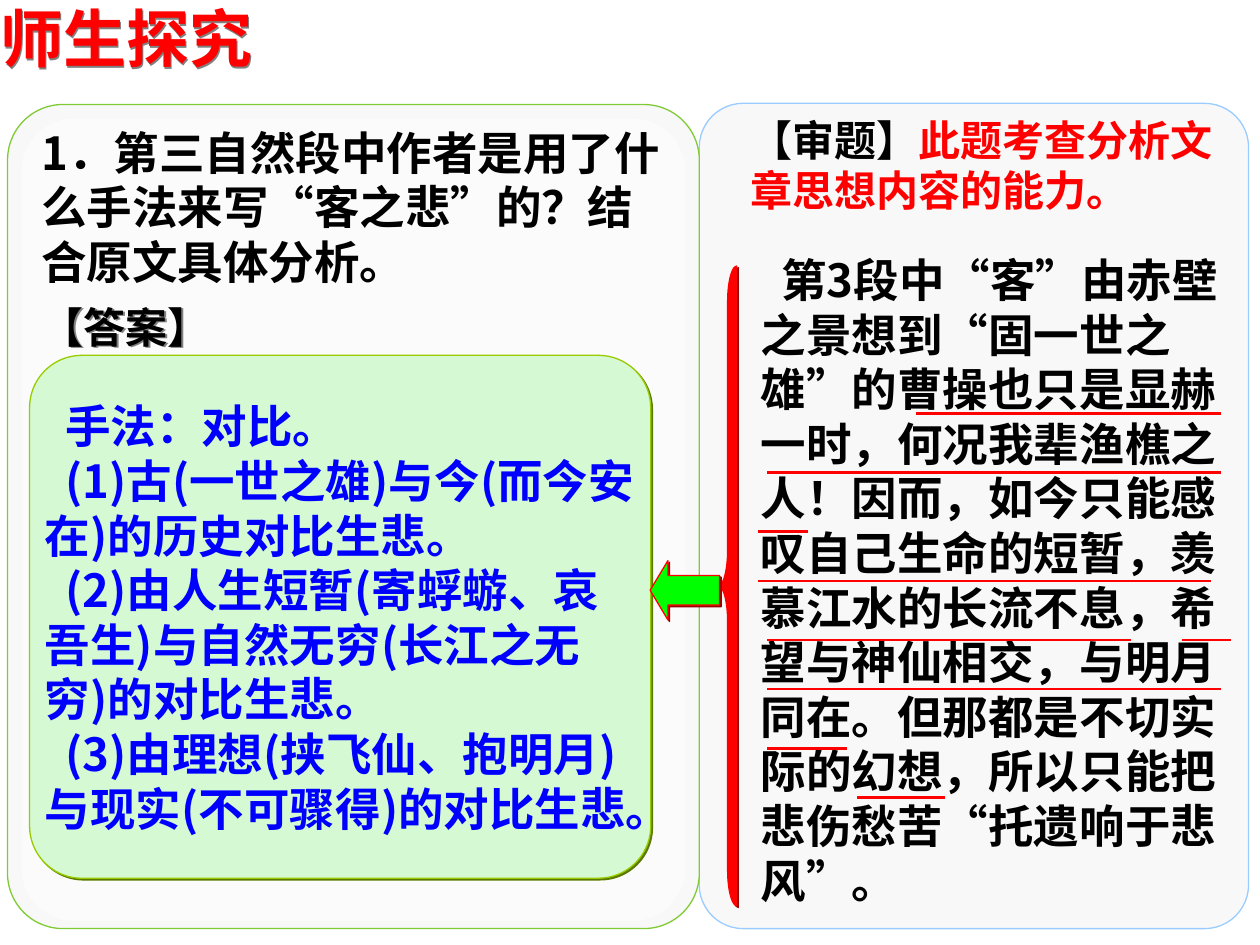
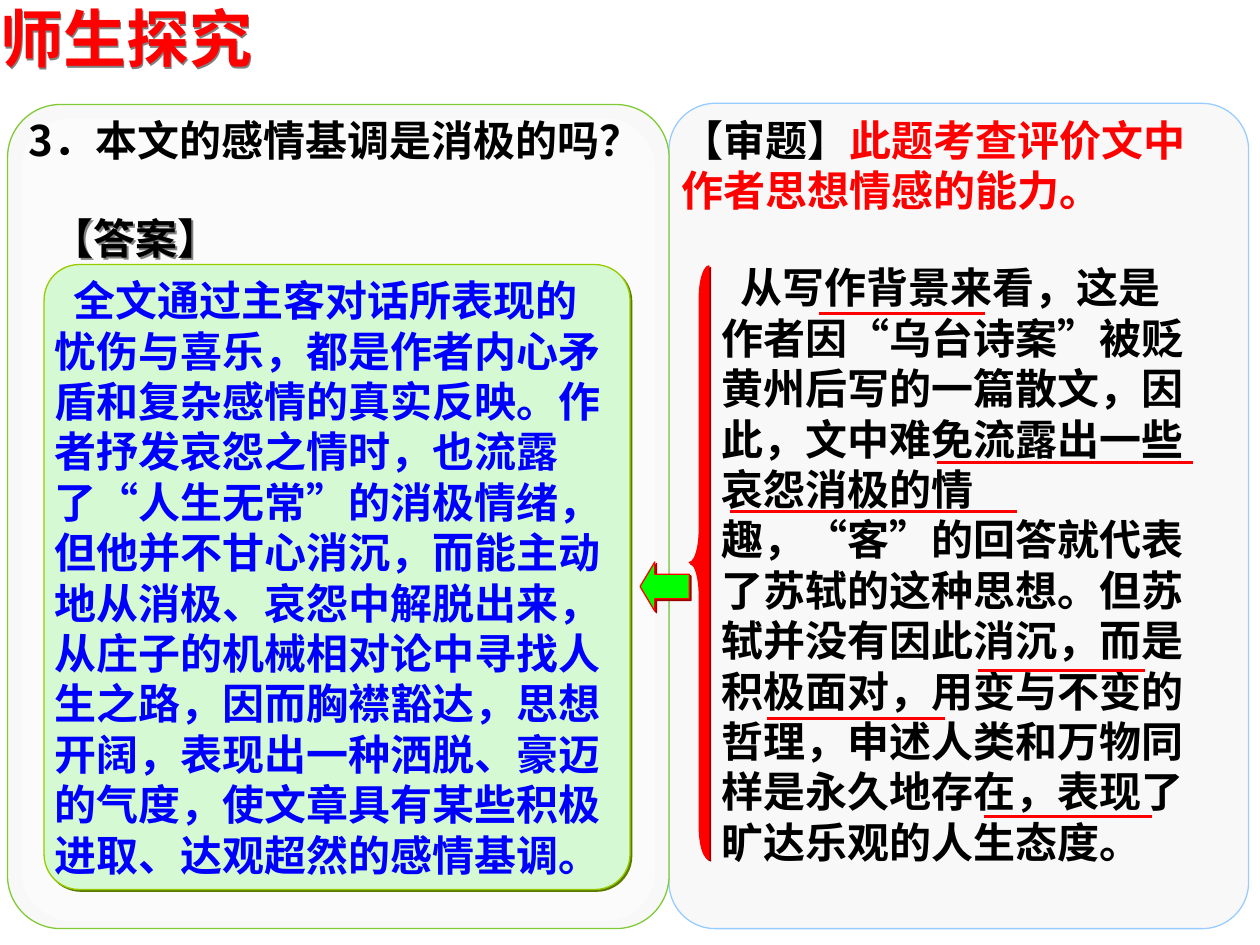
import lxml.etree
import pptx
import pptx.dml.color
import pptx.enum.lang
import pptx.enum.shapes
import pptx.enum.text
import pptx.oxml.ns
import pptx.util

SHAPES = pptx.enum.shapes.MSO_SHAPE
COLUMNS, ROWS = 100, 75
CELL = pptx.util.Inches(0.1)
LATIN, HAN = "Arial", "Noto Sans CJK SC"
COLORS = {
    "ink": "000000", "red": "FF0000", "blue": "0000FF", "white": "FFFFFF",
    "panel": "F8F8F8", "question edge": "80CB35", "review edge": "99CCFF",
    "answer": "D5F9D3", "answer edge": "99CC00", "answer shade": "5C7A00",
    "arrow": "00FF00", "red shade": "990000", "text shade": "808080",
}


def cells(count):
    return round(count * CELL)


def color(name):
    return pptx.dml.color.RGBColor.from_string(COLORS[name])


def add_element(parent, tag, **attributes):
    element = lxml.etree.SubElement(parent, pptx.oxml.ns.qn(tag))
    for name, value in attributes.items():
        element.set(name, str(value))
    return element


def add_run(paragraph, text, size, ink, font):
    run = paragraph.add_run()
    run.text = text
    run.font.size = pptx.util.Pt(size)
    run.font.bold = True
    run.font.name = font
    run.font.language_id = pptx.enum.lang.MSO_LANGUAGE_ID.SIMPLIFIED_CHINESE
    run.font.color.rgb = color(ink)
    add_element(run._r.get_or_add_rPr(), "a:ea", typeface=HAN)


def write_text(frame, paragraphs, size=24, ink="ink", font=HAN, indent=False,
               margins=(0, 0), right_margin=None,
               anchor=pptx.enum.text.MSO_ANCHOR.TOP):
    """Fill a frame; a paragraph is a string or a list of (string, colour) runs."""
    frame.word_wrap = True
    frame.vertical_anchor = anchor
    frame.margin_left = cells(margins[0])
    frame.margin_right = cells(margins[0] if right_margin is None else right_margin)
    frame.margin_top = frame.margin_bottom = cells(margins[1])
    for number, content in enumerate(paragraphs):
        paragraph = frame.add_paragraph() if number else frame.paragraphs[0]
        paragraph.alignment = pptx.enum.text.PP_ALIGN.LEFT
        paragraph.line_spacing = pptx.util.Pt(size * 1.2)
        if indent:
            first_line = pptx.util.Pt(size * 0.45)
            paragraph._p.get_or_add_pPr().set("indent", str(int(first_line)))
        pieces = [(content, ink)] if isinstance(content, str) else content
        for text, run_color in pieces:
            for line_number, line in enumerate(text.split("\n")):
                if line_number:
                    paragraph.add_line_break()
                add_run(paragraph, line, size, run_color, font)


class LessonDeck:
    """Holds the presentation, its style and the slide being drawn."""

    def __init__(self):
        self.presentation = pptx.Presentation()
        self.presentation.slide_width = cells(COLUMNS)
        self.presentation.slide_height = cells(ROWS)
        self.slide = None

    def start_slide(self, split):
        """Add a slide whose two panels meet at column split."""
        self.slide = self.presentation.slides.add_slide(
            self.presentation.slide_layouts[6])
        self.shape((split, 8.2, 99.1 - split, 65.5), "panel", "review edge",
                   adjustments=[0.08])
        width = split - 0.6
        self.shape((0.6, 8.3, width, 65.4), "panel", "question edge",
                   adjustments=[0.08])
        self.shape((1.7, 9.4, width - 2.2, 63.7), "white", adjustments=[0.08],
                   opacity=50)
        self.text((0, 0, 33.5, 6), ["师生探究"], shaded=True, size=36, ink="red",
                  font=LATIN, margins=(0, 0))

    def shade(self, shape, name):
        """Give a shape a hard shadow to its lower right, or none."""
        shape.shadow.inherit = False
        if name:
            effects = shape._element.spPr.find(pptx.oxml.ns.qn("a:effectLst"))
            shadow = add_element(effects, "a:outerShdw", blurRad=0,
                                 dist=int(pptx.util.Pt(1.4)), dir=45 * 60000,
                                 algn="tl", rotWithShape=0)
            add_element(shadow, "a:srgbClr", val=COLORS[name])

    def shape(self, area, fill, edge=None, kind=SHAPES.ROUNDED_RECTANGLE,
              adjustments=(), shadow=None, opacity=100):
        shape = self.slide.shapes.add_shape(kind, *map(cells, area))
        for number, value in enumerate(adjustments):
            shape.adjustments[number] = value
        shape.fill.solid()
        shape.fill.fore_color.rgb = color(fill)
        if opacity < 100:
            tint = next(shape._element.spPr.iter(pptx.oxml.ns.qn("a:srgbClr")))
            add_element(tint, "a:alpha", val=opacity * 1000)
        if edge:
            shape.line.color.rgb = color(edge)
            shape.line.width = pptx.util.Pt(0.75)
        else:
            shape.line.fill.background()
        self.shade(shape, shadow)
        return shape

    def text(self, area, paragraphs, shaded=False, margins=(1, 0.5), **style):
        box = self.slide.shapes.add_textbox(*map(cells, area))
        if shaded:
            self.shade(box, "text shade")
        write_text(box.text_frame, paragraphs, margins=margins, **style)

    def answer_label(self, left, top):
        self.text((left, top, 16.5, 5), ["【答案】"], shaded=True, font=LATIN)

    def answer(self, area, paragraphs, corner, **style):
        box = self.shape(area, "answer", "answer edge", adjustments=[corner],
                         shadow="answer shade")
        write_text(box.text_frame, paragraphs, ink="blue", indent=True,
                   anchor=pptx.enum.text.MSO_ANCHOR.MIDDLE, **style)

    def review(self, area, purpose):
        self.text(area, [[("【审题】", "ink"), (purpose, "red")]])

    def underlines(self, spans):
        """Draw a red rule for each (row, first column, last column)."""
        for row, start, end in spans:
            line = self.slide.shapes.add_connector(
                pptx.enum.shapes.MSO_CONNECTOR.STRAIGHT,
                cells(start), cells(row), cells(end), cells(row))
            line.line.color.rgb = color("red")
            line.line.width = pptx.util.Pt(1.5)
            add_element(line._element.spPr, "a:effectLst")

    def brace_and_arrow(self, brace, curl, arrow):
        self.shape(brace, "red", "red", SHAPES.LEFT_BRACE, [curl, 0.5], "red shade")
        self.shape(arrow, "arrow", "red", SHAPES.LEFT_ARROW, [0.5, 0.3], "red shade")


def build_contrast_slide(deck):
    deck.start_slide(split=55.5)
    deck.text((2.3, 9.4, 51.6, 14), [
        "1．第三自然段中作者是用了什么手法来写“客之悲”的？结合原文具体分析。"], size=26)
    deck.answer((2.35, 28.2, 49.3, 41.5), [
        "手法：对比。",
        "(1)古(一世之雄)与今(而今安在)的历史对比生悲。",
        "(2)由人生短暂(寄蜉蝣、哀吾生)与自然无穷(长江之无穷)的对比生悲。",
        "(3)由理想(挟飞仙、抱明月)与现实(不可骤得)的对比生悲。",
    ], corner=0.1, size=26)
    deck.review((58.6, 8.6, 41.4, 9), "此题考查分析文章思想内容的能力。")
    deck.text((59.4, 19.5, 39.1, 53), [
        "第3段中“客”由赤壁之景想到“固一世之雄”的曹操也只是显赫一时，"
        "何况我辈渔樵之人！因而，如今只能感叹自己生命的短暂，"
        "羡慕江水的长流不息，希望与神仙相交，与明月同在。"
        "但那都是不切实际的幻想，所以只能把悲伤愁苦“托遗响于悲风”。",
    ], size=26, indent=True)
    deck.underlines([
        (32.8, 72.7, 96.9), (37.5, 60.9, 96.9), (42.2, 60.2, 64.1),
        (46.1, 60.2, 96.1), (50.8, 60.9, 89.8), (50.8, 93.8, 97.7),
        (54.7, 60.9, 96.9), (59.4, 60.9, 67.2), (63.3, 68, 75)])
    deck.brace_and_arrow((57, 21.1, 1.5, 50.8), 1.87, (51.6, 44.5, 5.5, 4.7))
    deck.answer_label(2.3, 23.4)


def build_mood_slide(deck):
    deck.start_slide(split=53.1)
    deck.text((1.3, 8.6, 48, 9), ["3．本文的感情基调是消极的吗？"])
    deck.answer((3.5, 21, 46.5, 49.6), [
        "全文通过主客对话所表现的忧伤与喜乐，都是作者内心矛盾和复杂感情的真实反映。"
        "作者抒发哀怨之情时，也流露了“人生无常”的消极情绪，但他并不甘心消沉，"
        "而能主动地从消极、哀怨中解脱出来，从庄子的机械相对论中寻找人生之路，"
        "因而胸襟豁达，思想开阔，表现出一种洒脱、豪迈的气度，"
        "使文章具有某些积极进取、达观超然的感情基调。",
    ], corner=0.06, size=24, right_margin=0.7)
    deck.review((53.1, 8.6, 44.5, 9), "此题考查评价文中作者思想情感的能力。")
    deck.text((56.3, 20.3, 39.4, 49), [
        "从写作背景来看，这是作者因“乌台诗案”被贬黄州后写的一篇散文，"
        "因此，文中难免流露出一些哀怨消极的情\n趣，“客”的回答就代表了苏轼的这种思想。"
        "但苏轼并没有因此消沉，而是积极面对，用变与不变的哲理，"
        "申述人类和万物同样是永久地存在，表现了旷达乐观的人生态度。",
    ], indent=True)
    deck.underlines([
        (24.9, 65, 78.2), (36.7, 74.4, 94.7), (40.6, 57.9, 80.7),
        (53.2, 77.6, 90.9), (57, 60.9, 75), (64.8, 78.1, 91.4)])
    deck.brace_and_arrow((54.7, 21.1, 1.6, 47.1), 1.63, (50.8, 44.6, 3.9, 3.9))
    deck.answer_label(3.1, 16.4)


def main():
    deck = LessonDeck()
    build_contrast_slide(deck)
    build_mood_slide(deck)
    deck.presentation.save("out.pptx")


if __name__ == "__main__":
    main()
